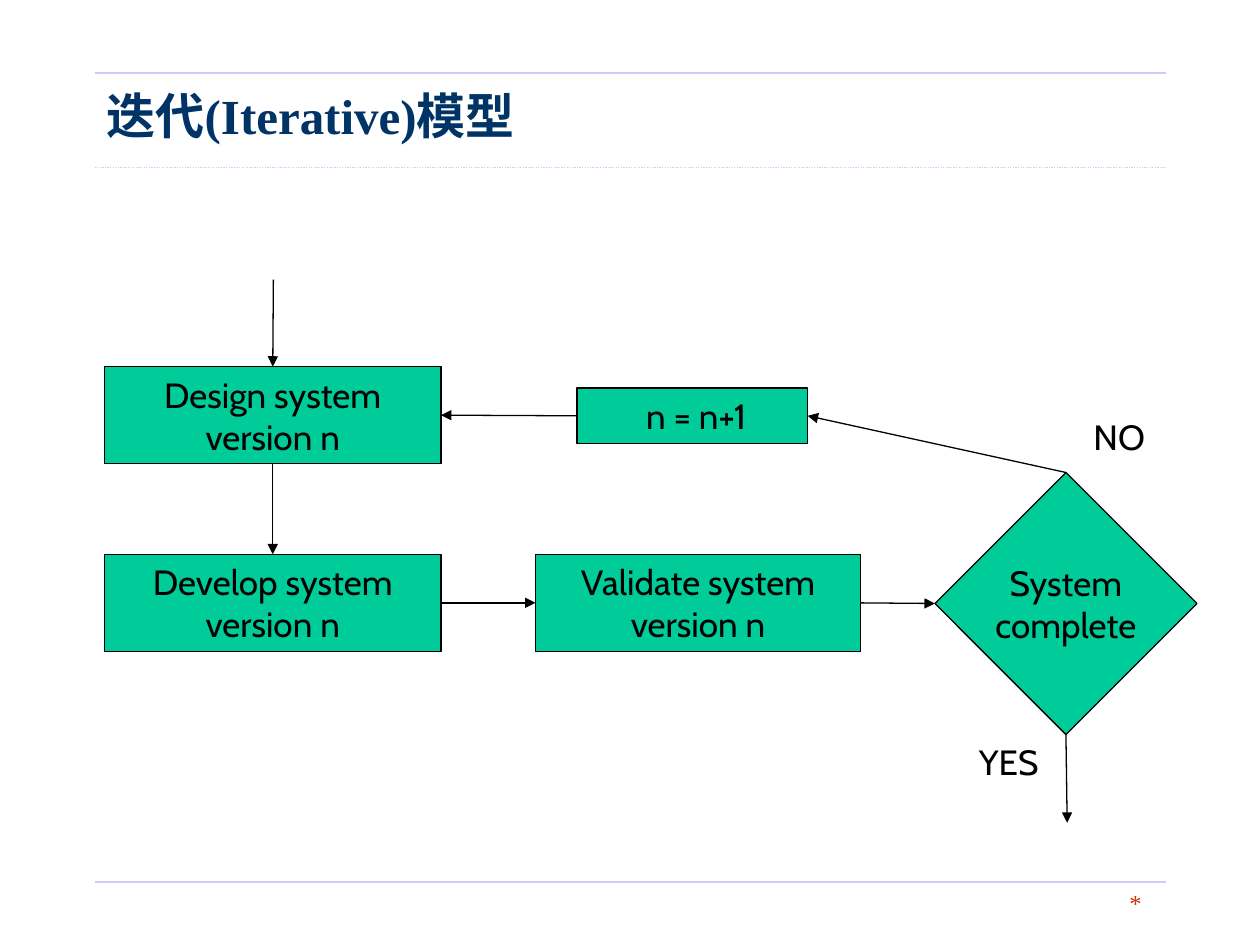
from lxml import etree
from pptx import Presentation
from pptx import util as u
from pptx.dml.color import RGBColor
from pptx.enum import dml, shapes, text
from pptx.oxml.ns import qn

COLORS = {"rule": "CCCCFF", "title": "003366", "number": "CC3300",
          "box": "00CC99", "ink": "000000"}
BODY_FONT, TITLE_FONT = "Cabin", "Times New Roman"
LINE_WIDTH = 0.74
TOP, LEFT, BOTTOM, RIGHT = range(4)  # connection sites


def color(name):
    return RGBColor.from_string(COLORS[name])


def write(shape, lines, size=20, font=BODY_FONT, ink="ink", bold=False,
          align=text.PP_ALIGN.LEFT, anchor=text.MSO_ANCHOR.TOP, wrap=True):
    frame = shape.text_frame
    frame.word_wrap = wrap
    frame.vertical_anchor = anchor
    frame.text = lines
    for paragraph in frame.paragraphs:
        paragraph.alignment = align
        paragraph.font.size = u.Pt(size)
        paragraph.font.name = font
        paragraph.font.bold = bold
        paragraph.font.color.rgb = color(ink)


def add_label(slide, box, lines, **style):
    label = slide.shapes.add_textbox(*map(u.Inches, box))
    write(label, lines, **style)


def add_line(slide, start, end, ink="ink"):
    line = slide.shapes.add_connector(
        shapes.MSO_CONNECTOR.STRAIGHT, *map(u.Inches, (*start, *end)))
    line.line.color.rgb = color(ink)
    line.line.width = u.Pt(LINE_WIDTH)
    etree.SubElement(line._element.spPr, qn("a:effectLst"))
    return line


def add_arrow(slide, start, end):
    arrow = add_line(slide, start, end)
    etree.SubElement(arrow.line._get_or_add_ln(), qn("a:tailEnd"), type="triangle")
    return arrow


def join(slide, source, source_site, target, target_site):
    arrow = add_arrow(slide, (0, 0), (0, 0))
    arrow.begin_connect(source, source_site)
    arrow.end_connect(target, target_site)


def add_step(slide, box, lines, kind=shapes.MSO_SHAPE.RECTANGLE, wrap=True):
    step = slide.shapes.add_shape(kind, *map(u.Inches, box))
    step.shadow.inherit = False
    step.fill.solid()
    step.fill.fore_color.rgb = color("box")
    step.line.color.rgb = color("ink")
    step.line.width = u.Pt(LINE_WIDTH)
    write(step, lines, align=text.PP_ALIGN.CENTER,
          anchor=text.MSO_ANCHOR.MIDDLE, wrap=wrap)
    return step


def add_frame(slide, left, top, width, height):
    """Rules, title and slide number."""
    right, bottom = left + width, top + height
    rules = [add_line(slide, (left, y), (right, y), "rule")
             for y in (top, bottom, top + 0.75)]
    rules[-1].line.dash_style = dml.MSO_LINE.ROUND_DOT
    add_label(slide, (left, top, width, 0.67), "迭代(Iterative)模型", size=28,
              font=TITLE_FONT, ink="title", bold=True,
              anchor=text.MSO_ANCHOR.MIDDLE)
    add_label(slide, (right - 1.67, bottom, 1.58, 0.34), "*", size=14,
              font=TITLE_FONT, ink="number", align=text.PP_ALIGN.RIGHT)


def add_flowchart(slide, left, top):
    """Iteration loop, with the entry arrow starting at the top."""
    upper, lower, step_height = top + 0.69, top + 2.18, 0.77
    # Steps
    design = add_step(slide, (left, upper, 2.67, step_height),
                      "Design system version n")
    develop = add_step(slide, (left, lower, 2.67, step_height),
                       "Develop system version n")
    validate = add_step(slide, (left + 3.42, lower, 2.58, step_height),
                        "Validate system version n")
    increment = add_step(slide, (left + 3.75, top + 0.86, 1.83, 0.44), " n = n+1")
    complete = add_step(slide, (left + 6.59, top + 1.53, 2.08, 2.08),
                        "System\ncomplete", shapes.MSO_SHAPE.DIAMOND, wrap=False)
    # Arrows
    for link in ((design, BOTTOM, develop, TOP),
                 (develop, RIGHT, validate, LEFT),
                 (validate, RIGHT, complete, LEFT),
                 (complete, TOP, increment, RIGHT),
                 (increment, LEFT, design, RIGHT)):
        join(slide, *link)
    entry = add_arrow(slide, (left + 1.34, top), (left + 1.34, upper))
    entry.end_connect(design, TOP)
    leave = add_arrow(slide, (left + 7.63, top + 3.61), (left + 7.64, top + 4.31))
    leave.begin_connect(complete, BOTTOM)
    # Branch labels
    add_label(slide, (left + 6.84, top + 3.61, 0.83, 0.44), "YES")
    add_label(slide, (left + 7.75, top + 1.03, 0.75, 0.44), "NO")


presentation = Presentation()
presentation.slide_width = u.Inches(10)
presentation.slide_height = u.Inches(7.5)
slide = presentation.slides.add_slide(presentation.slide_layouts[6])
add_frame(slide, 0.75, 0.58, 8.5, 6.42)
add_flowchart(slide, 0.83, 2.22)
presentation.save("out.pptx")
